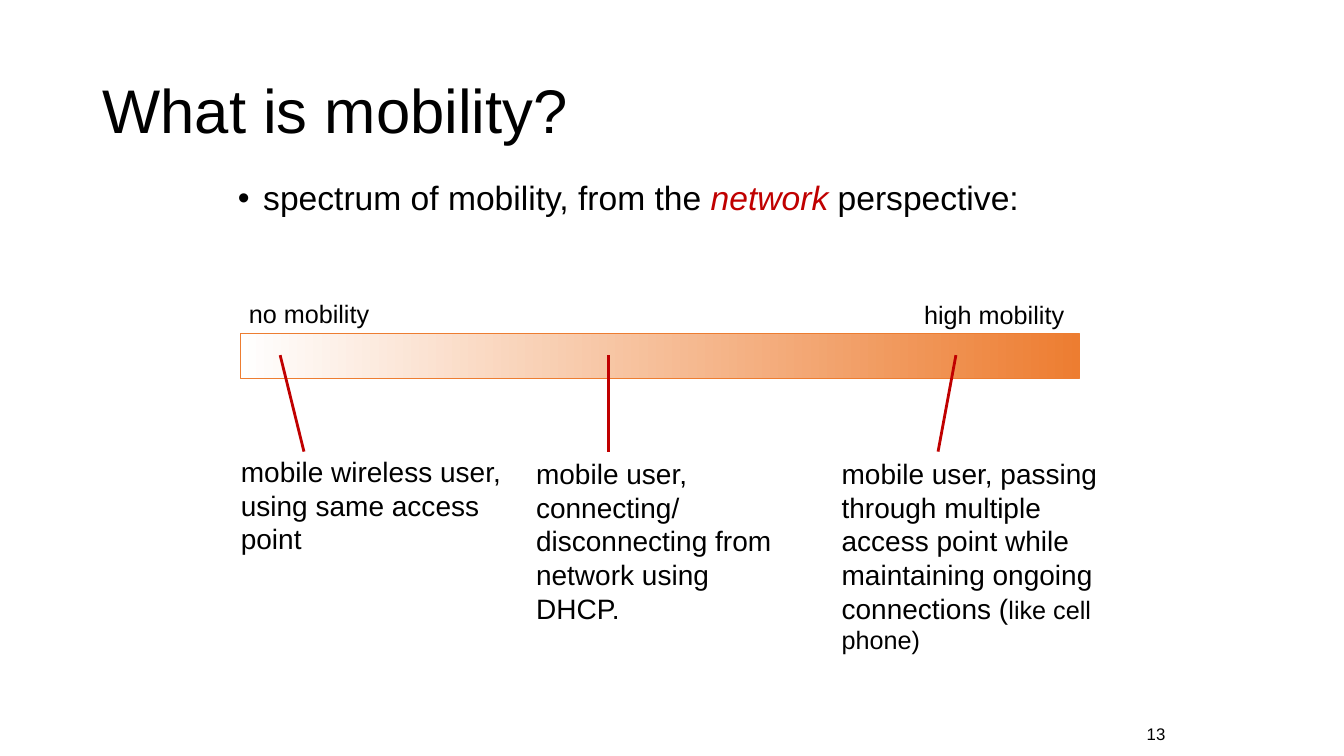
import pptx
import pptx.util
import pptx.dml.color
import pptx.enum.shapes
import pptx.enum.text
import lxml.etree

Cm = pptx.util.Cm
Pt = pptx.util.Pt
ALIGN = pptx.enum.text.PP_ALIGN
ANCHOR = pptx.enum.text.MSO_ANCHOR
AUTO_SIZE = pptx.enum.text.MSO_AUTO_SIZE

COLOURS = {"text": "000000", "accent": "C00000", "low": "FFFFFF", "high": "ED7D31"}


def colour(name):
    return pptx.dml.color.RGBColor.from_string(COLOURS[name])


def place(shape, box):
    shape.left, shape.top, shape.width, shape.height = map(Cm, box)


class MobilitySlide:
    font_name = "Arial"

    def __init__(self, presentation):
        self.slide = presentation.slides.add_slide(presentation.slide_layouts[1])

    def style(self, font, size):
        font.name = self.font_name
        font.size = Pt(size)
        font.color.rgb = colour("text")

    def title(self, box, text):
        title = self.slide.shapes.title
        place(title, box)
        frame = title.text_frame
        frame.text = text
        frame.auto_size = AUTO_SIZE.NONE
        frame.vertical_anchor = ANCHOR.MIDDLE
        heading = frame.paragraphs[0]
        heading.alignment = ALIGN.LEFT
        heading.line_spacing = 0.9
        self.style(heading.font, 44)

    def bullet(self, box, before, emphasis, after):
        body = self.slide.placeholders[1]
        place(body, box)
        frame = body.text_frame
        frame.auto_size = AUTO_SIZE.NONE
        point = frame.paragraphs[0]
        point.line_spacing = 0.9
        point.space_before = Pt(0)
        properties = point._p.get_or_add_pPr()
        properties.set("marL", str(Cm(0.64)))
        properties.set("indent", str(Cm(-0.64)))
        mark = lxml.etree.SubElement(properties, pptx.oxml.ns.qn("a:buChar"))
        mark.set("char", "•")
        self.style(point.font, 24)
        for text in (before, emphasis, after):
            run = point.add_run()
            run.text = text
            if text == emphasis:
                run.font.italic = True
                run.font.color.rgb = colour("accent")

    def spectrum(self, box):
        bar = self.slide.shapes.add_shape(
            pptx.enum.shapes.MSO_SHAPE.RECTANGLE, *map(Cm, box))
        bar.shadow.inherit = False
        bar.fill.gradient()
        bar.fill.gradient_angle = 0
        for stop, position, name in zip(bar.fill.gradient_stops, (0, 1), ("low", "high")):
            stop.position = position
            stop.color.rgb = colour(name)
        bar.line.color.rgb = colour("high")
        bar.line.width = Pt(0.75)

    def text(self, box, lines, size, wrap=False, align=ALIGN.LEFT, anchor=ANCHOR.TOP):
        frame = self.slide.shapes.add_textbox(*map(Cm, box)).text_frame
        frame.word_wrap = wrap
        frame.vertical_anchor = anchor
        for index, line in enumerate(lines):
            paragraph = frame.add_paragraph() if index else frame.paragraphs[0]
            paragraph.text = line
            paragraph.alignment = align
            self.style(paragraph.font, size)
        return frame

    def pointer(self, start, end):
        pointer = self.slide.shapes.add_connector(
            pptx.enum.shapes.MSO_CONNECTOR.STRAIGHT, *map(Cm, start + end))
        pointer.line.color.rgb = colour("accent")
        pointer.line.width = Pt(2)
        lxml.etree.SubElement(pointer._element.spPr, pptx.oxml.ns.qn("a:effectLst"))


def main():
    presentation = pptx.Presentation()
    presentation.slide_width = Cm(33.87)
    presentation.slide_height = Cm(19.05)
    page = MobilitySlide(presentation)

    page.title((2.33, 1.01, 29.21, 3.68), "What is mobility?")
    page.bullet((5.74, 4.45, 22.78, 1.6),
                "spectrum of mobility, from the ", "network ", "perspective:")

    page.spectrum((6.05, 8.41, 21.16, 1.12))
    page.text((6.02, 7.39, 3.58, 1.02), ["no mobility"], 18)
    page.text((23.04, 7.42, 4.06, 1.02), ["high mobility"], 18)

    page.text((5.82, 11.33, 7.57, 2.79),
              ["mobile wireless user,", "using same access", "point"], 20)
    page.text((13.26, 11.38, 6.76, 4.5),
              ["mobile user, connecting/ disconnecting from network using DHCP."],
              20, wrap=True)
    high_case = page.text(
        (20.96, 11.38, 7.47, 5.26),
        ["mobile user, passing through multiple access point while "
         "maintaining ongoing connections ("], 20, wrap=True)
    example = high_case.paragraphs[0].add_run()
    example.text = "like cell phone)"
    example.font.size = Pt(18)

    for case_x, bar_x in ((7.66, 7.06), (15.34, 15.34), (23.64, 24.09)):
        page.pointer((case_x, 11.38), (bar_x, 8.95))

    page.text((27.71, 18.11, 1.91, 0.76), ["13"], 12, wrap=True,
              align=ALIGN.RIGHT, anchor=ANCHOR.MIDDLE)
    presentation.save("out.pptx")


if __name__ == "__main__":
    main()
